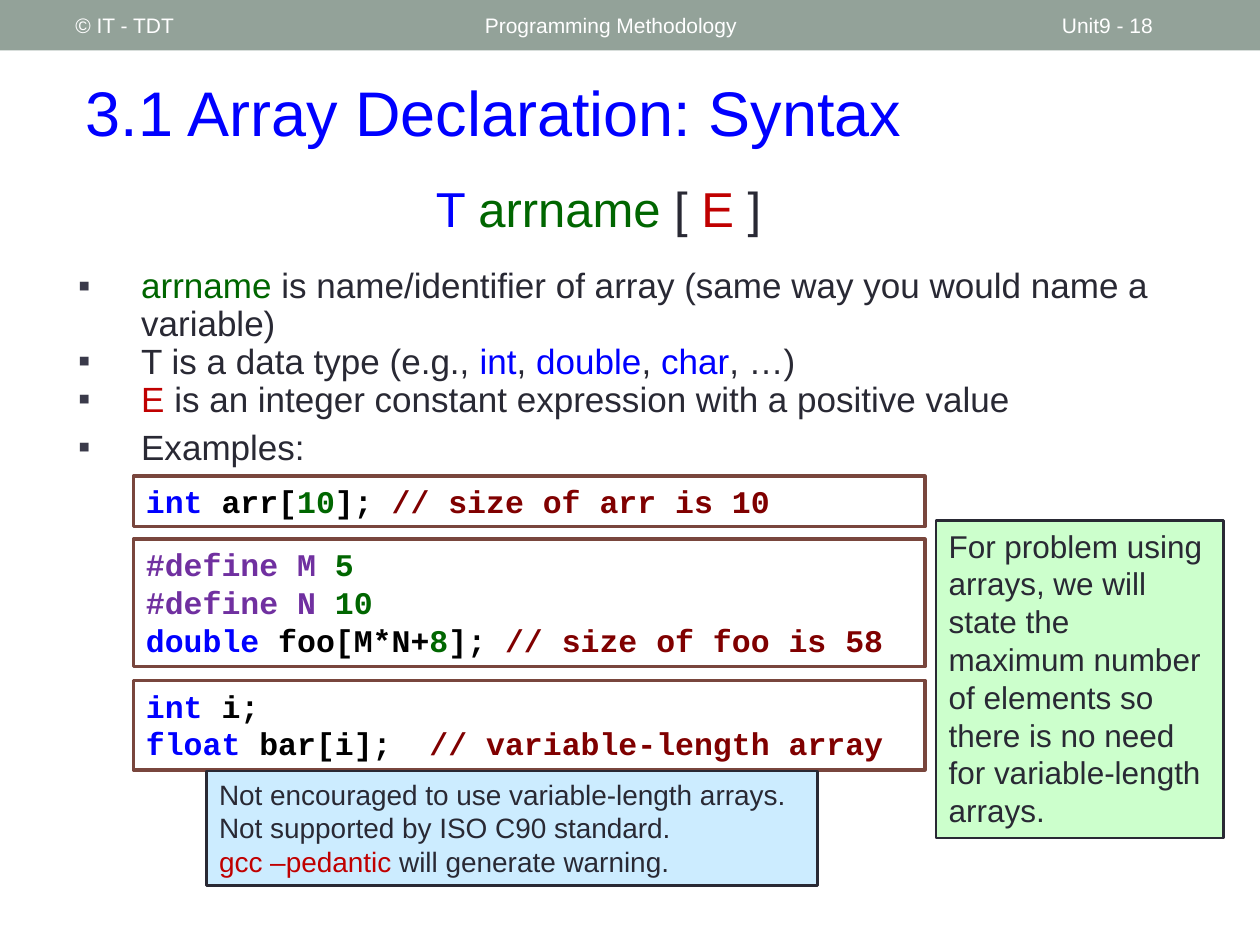
import pptx
import pptx.util
import pptx.dml.color
import pptx.enum.shapes
import pptx.enum.text
import pptx.oxml
import pptx.oxml.ns
from dataclasses import dataclass

ALIGN = pptx.enum.text.PP_ALIGN
ANCHOR = pptx.enum.text.MSO_ANCHOR
COLS, ROWS = 100, 75


@dataclass(frozen=True)
class Theme:
    """Hold the colours, fonts and type sizes."""
    blue: str = "0000FF"
    green: str = "006600"
    red: str = "C00000"
    ink: str = "292934"
    black: str = "000000"
    white: str = "FFFFFF"
    plum: str = "7030A0"
    wine: str = "800000"
    band: str = "93A299"
    brown: str = "79463D"
    mark: str = "3A3A4A"
    sky: str = "CCECFF"
    mint: str = "CCFFCC"
    sans: str = "Arial"
    mono: str = "Courier New"
    title: int = 36
    form: int = 28
    list: int = 20
    code: int = 18
    note: int = 16
    head: int = 12


T = Theme()


def tint(code):
    """Turn a hex code into a colour."""
    return pptx.dml.color.RGBColor.from_string(code)


def apply(item, form):
    """Set each value of a format dict on an item."""
    for name, value in form.items():
        setattr(item, name, value)


def place(deck, cells):
    """Turn grid cells into left, top, width and height."""
    col, row = deck.slide_width / COLS, deck.slide_height / ROWS
    return [round(cell * unit) for cell, unit in zip(cells, (col, row, col, row))]


def mark(para):
    """Give a paragraph a hanging square bullet."""
    props = para._p.get_or_add_pPr()
    inch = pptx.util.Inches(0.5)
    props.set("marL", str(inch))
    props.set("indent", str(-inch))
    space = pptx.oxml.ns.nsdecls("a")
    for part in (f'<a:buClr {space}><a:srgbClr val="{T.mark}"/></a:buClr>',
                 f'<a:buFont {space} typeface="{T.sans}"/>',
                 f'<a:buChar {space} char="▪"/>'):
        props.append(pptx.oxml.parse_xml(part))


def write(shape, lines, size, face=T.sans, bold=False, anchor=ANCHOR.TOP,
          align=ALIGN.LEFT, bullet=False):
    """Fill a shape with lines of coloured runs."""
    frame = shape.text_frame
    apply(frame, {"word_wrap": True, "vertical_anchor": anchor,
                  "auto_size": pptx.enum.text.MSO_AUTO_SIZE.NONE})
    for count, line in enumerate(lines):
        para = frame.add_paragraph() if count else frame.paragraphs[0]
        if bullet:
            mark(para)
        apply(para, {"alignment": align, "space_before": pptx.util.Pt(0)})
        apply(para.font, {"size": pptx.util.Pt(size), "name": face})
        for hue, text in line:
            run = para.add_run()
            run.text = text
            apply(run.font, {"size": pptx.util.Pt(size), "name": face, "bold": bold})
            run.font.color.rgb = tint(hue)


def box(deck, slide, cells, fill, edge=None, width=0):
    """Draw a flat box on the grid."""
    shape = slide.shapes.add_shape(
        pptx.enum.shapes.MSO_SHAPE.RECTANGLE, *place(deck, cells))
    shape.shadow.inherit = False
    shape.fill.solid()
    shape.fill.fore_color.rgb = tint(fill)
    if edge:
        shape.line.color.rgb = tint(edge)
        shape.line.width = pptx.util.Pt(width)
    else:
        shape.line.fill.background()
    return shape


def hold(deck, shape, cells):
    """Move a placeholder to its cells."""
    apply(shape, dict(zip(("left", "top", "width", "height"), place(deck, cells))))
    return shape


def header(deck, slide):
    """Draw the top band and its labels."""
    box(deck, slide, (0, 0, COLS, 4), T.band)
    for left, width, text in ((5, 31.7, "© IT - TDT"),
                              (37.5, 45, "Programming Methodology"),
                              (83.3, 11.7, "Unit9 - 18")):
        label = slide.shapes.add_textbox(*place(deck, (left, 0.2, width, 3.6)))
        write(label, [[(T.white, text)]], T.head, anchor=ANCHOR.MIDDLE)


def rules(deck, slide):
    """Write the title, the syntax form and the list."""
    title, body = slide.placeholders
    write(hold(deck, title, (5.8, 4.2, 91.7, 9.2)),
          [[(T.blue, "3.1 Array Declaration: Syntax")]], T.title, anchor=ANCHOR.MIDDLE)
    lines = [
        [(T.green, "arrname"),
         (T.ink, " is name/identifier of array (same way you would name a variable)")],
        [(T.ink, "T is a data type (e.g., "), (T.blue, "int"), (T.ink, ", "),
         (T.blue, "double"), (T.ink, ", "), (T.blue, "char"), (T.ink, ", …)")],
        [(T.red, "E "), (T.ink, "is an integer constant expression with a positive value")],
        [(T.ink, "Examples:")]]
    write(hold(deck, body, (5.2, 20.8, 90.3, 17)), lines, T.list, bullet=True)
    for para in body.text_frame.paragraphs:
        para.line_spacing = 0.9
    para.space_before = pptx.util.Pt(6)
    write(box(deck, slide, (32.9, 13.7, 29.2, 5.7), T.white),
          [[(T.blue, "T "), (T.green, "arrname"), (T.ink, " [ "), (T.red, "E"),
            (T.ink, " ]")]], T.form, align=ALIGN.CENTER)


def codes(deck, slide):
    """Draw the code boxes."""
    for top, height, lines in (
            (37.8, 4, [
                [(T.blue, "int"), (T.black, " arr["), (T.green, "10"),
                 (T.black, "]; "), (T.wine, "// size of arr is 10")]]),
            (42.8, 10.1, [
                [(T.plum, "#define M "), (T.green, "5")],
                [(T.plum, "#define N "), (T.green, "10")],
                [(T.blue, "double"), (T.black, " foo[M*N+"), (T.green, "8"),
                 (T.black, "]; "), (T.wine, "// size of foo is 58")]]),
            (54, 7.1, [
                [(T.blue, "int"), (T.black, " i;")],
                [(T.blue, "float"), (T.black, " bar[i];  "),
                 (T.wine, "// variable-length array")]])):
        panel = box(deck, slide, (10.6, top, 62.8, height), T.white, T.brown, 2.08)
        write(panel, lines, T.code, T.mono, True)


def notes(deck, slide):
    """Draw the two remarks."""
    write(box(deck, slide, (16.4, 61.2, 48.5, 9.1), T.sky, T.ink, 1.5),
          [[(T.ink, "Not encouraged to use variable-length arrays.")],
           [(T.ink, "Not supported by ISO C90 standard.")],
           [(T.red, "gcc –pedantic "), (T.ink, "will generate warning.")]], T.note)
    write(box(deck, slide, (74.3, 41.3, 22.8, 25.2), T.mint, T.ink, 1.5),
          [[(T.ink, "For problem using arrays, we will state the maximum number of "
                    "elements so there is no need for variable-length arrays.")]], T.code)


def main():
    """Build and save the slide."""
    deck = pptx.Presentation()
    apply(deck, {"slide_width": pptx.util.Inches(10),
                 "slide_height": pptx.util.Inches(7.5)})
    slide = deck.slides.add_slide(deck.slide_layouts[1])
    header(deck, slide)
    rules(deck, slide)
    codes(deck, slide)
    notes(deck, slide)
    deck.save("out.pptx")


if __name__ == "__main__":
    main()
